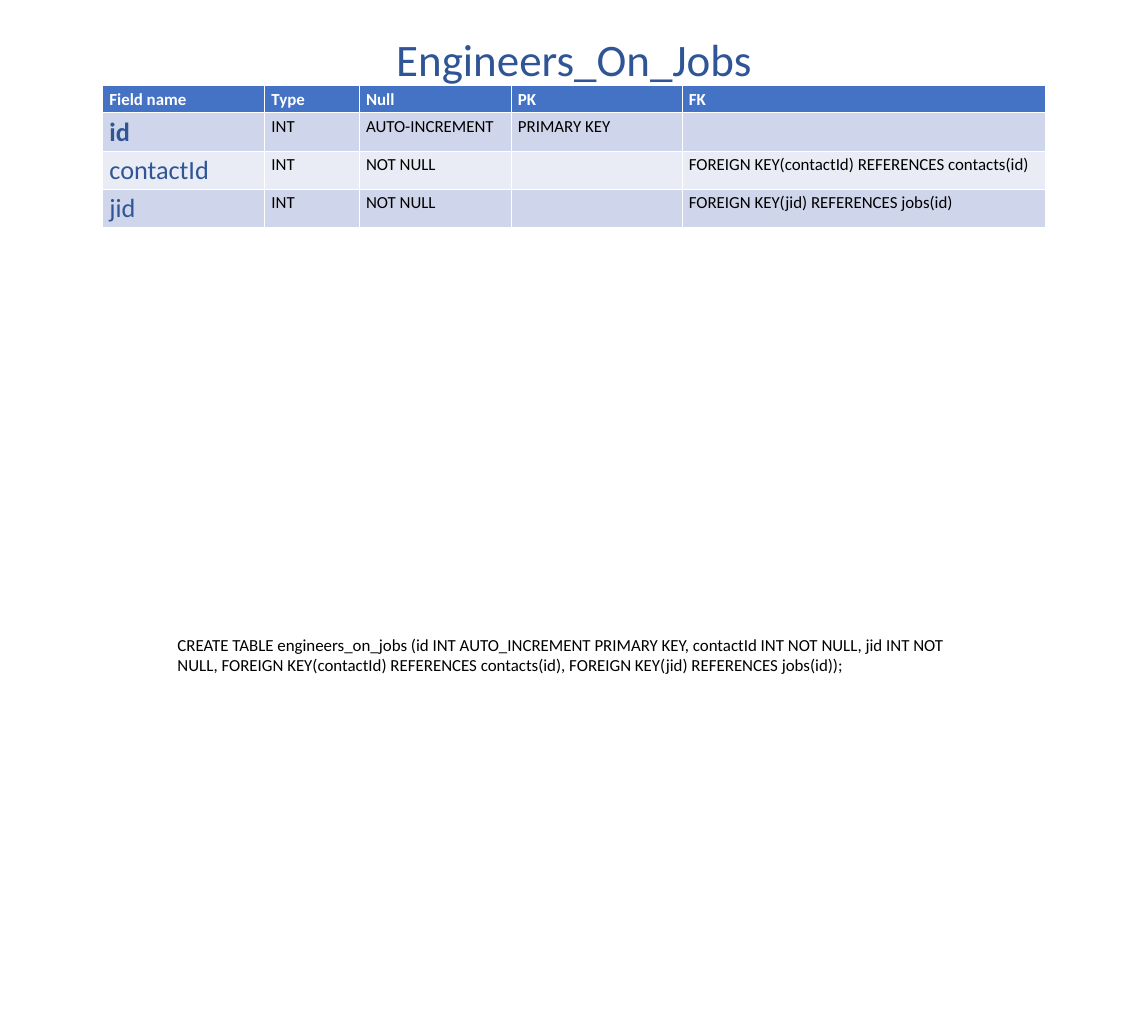
from pptx import Presentation
from pptx.dml.color import RGBColor as RGB
from pptx.enum.text import MSO_ANCHOR as ANCHOR, MSO_AUTO_SIZE as AUTO, PP_ALIGN as ALIGN
from pptx.util import Inches, Pt

COLORS = {"header": "4472C4", "odd": "CFD5EA", "even": "E9EBF5",
          "accent": "2F5597", "ink": "000000", "white": "FFFFFF"}
FORMATS = {
    "title": {"size": Pt(48), "bold": False, "color": "accent"},
    "header": {"size": Pt(18), "bold": True, "color": "white"},
    "key": {"size": Pt(28), "bold": True, "color": "accent"},
    "field": {"size": Pt(28), "bold": False, "color": "accent"},
    "body": {"size": Pt(18), "bold": False, "color": "ink"},
}


def write(frame, text, style):
    paragraph = frame.paragraphs[0]
    run = paragraph.add_run()
    run.text = text
    run.font.name = "Calibri"
    for attribute, value in FORMATS[style].items():
        if attribute == "color":
            run.font.color.rgb = RGB.from_string(COLORS[value])
        else:
            setattr(run.font, attribute, value)
    return paragraph


deck = Presentation()
deck.slide_width, deck.slide_height = Inches(17), Inches(15)
slide = deck.slides.add_slide(deck.slide_layouts[5])

# Schema table
columns = {"Field name": 2.4, "Type": 1.4, "Null": 2.25, "PK": 2.53, "FK": 5.38}
fields = [
    ["id", "INT", "AUTO-INCREMENT", "PRIMARY KEY", ""],
    ["contactId", "INT", "NOT NULL", "",
     "FOREIGN KEY(contactId) REFERENCES contacts(id)"],
    ["jid", "INT", "NOT NULL", "", "FOREIGN KEY(jid) REFERENCES jobs(id)"],
]
row_heights = [0.3] + [0.41] * len(fields)
schema = slide.shapes.add_table(
    len(row_heights), len(columns), Inches(1.52), Inches(1.27),
    Inches(sum(columns.values())), Inches(sum(row_heights))).table
for column, width in zip(schema.columns, columns.values()):
    column.width = Inches(width)
for row, height in zip(schema.rows, row_heights):
    row.height = Inches(height)

for r, texts in enumerate([list(columns)] + fields):
    band = "header" if r == 0 else "odd" if r % 2 else "even"
    for c, text in enumerate(texts):
        cell = schema.cell(r, c)
        cell.fill.solid()
        cell.fill.fore_color.rgb = RGB.from_string(COLORS[band])
        if r == 0:
            style = "header"
        elif c == 0:
            style = "key" if text == "id" else "field"
        else:
            style = "body"
        if text:
            write(cell.text_frame, text, style)

# Title, centred on the slide
title = slide.shapes.title
title.width, title.height = deck.slide_width // 3, Inches(0.91)
title.left, title.top = deck.slide_width // 3, Inches(0.42)
heading = write(title.text_frame, "Engineers_On_Jobs", "title")
heading.alignment = ALIGN.CENTER
title.text_frame.vertical_anchor = ANCHOR.TOP

# SQL statement
statement = slide.shapes.add_textbox(Inches(2.53), Inches(9.35), Inches(11.85), Inches(0.71))
write(statement.text_frame,
      "CREATE TABLE engineers_on_jobs (id INT AUTO_INCREMENT PRIMARY KEY, "
      "contactId INT NOT NULL, jid INT NOT NULL, FOREIGN KEY(contactId) "
      "REFERENCES contacts(id), FOREIGN KEY(jid) REFERENCES jobs(id));", "body")

for box in (title, statement):
    box.text_frame.word_wrap = True
    box.text_frame.auto_size = AUTO.SHAPE_TO_FIT_TEXT

deck.save("out.pptx")
